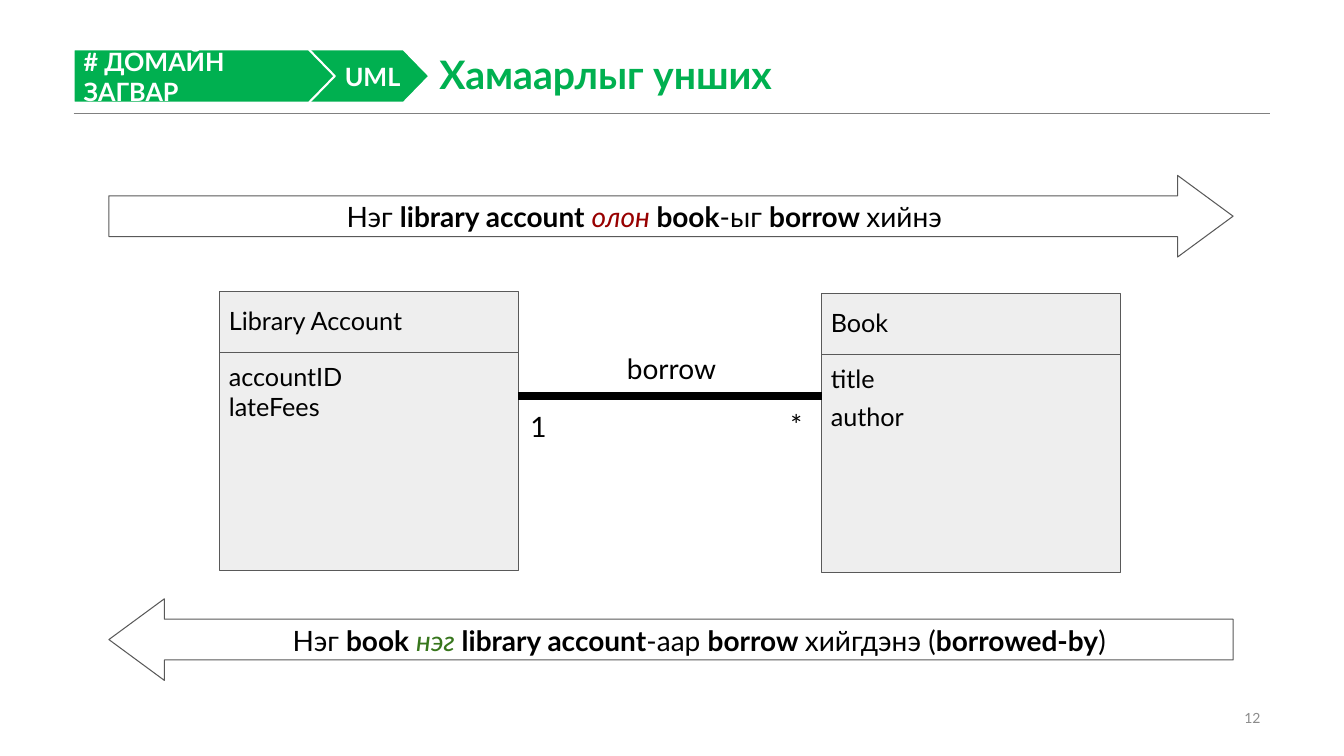
from pptx import Presentation
from pptx.dml.color import RGBColor
from pptx.enum.shapes import MSO_CONNECTOR as Connector, MSO_SHAPE as Shape
from pptx.enum.text import MSO_ANCHOR as Anchor, PP_ALIGN as Align
from pptx.oxml.ns import qn
from pptx.util import Inches, Pt

GREEN = "00B050"
GREY = "595959"
BLACK = "000000"
WHITE = "FFFFFF"
TIGHT = (0, 0.01, 0, 0)
NORMAL = (0.1, 0.05, 0.1, 0.05)


def color(value):
    return RGBColor.from_string(value)


def set_font(font, size, fill, bold=False):
    font.name = "Lato"
    font.size = Pt(size)
    font.bold = bold
    font.color.rgb = color(fill)


def set_frame(shape, insets, anchor=Anchor.TOP):
    frame = shape.text_frame
    frame.word_wrap = True
    frame.vertical_anchor = anchor
    frame.margin_left, frame.margin_top, frame.margin_right, frame.margin_bottom = map(Inches, insets)
    return frame


def add_text(slide, box, text, size=20, fill=BLACK, bold=False,
             align=Align.LEFT, insets=TIGHT, anchor=Anchor.TOP):
    shape = slide.shapes.add_textbox(*map(Inches, box))
    paragraph = set_frame(shape, insets, anchor).paragraphs[0]
    paragraph.text = text
    paragraph.alignment = align
    set_font(paragraph.font, size, fill, bold)
    return paragraph


def add_sentence(slide, box, parts):
    paragraph = add_text(slide, box, "", align=Align.CENTER)
    for text, style in parts:
        run = paragraph.add_run()
        run.text = text
        set_font(run.font, 20, BLACK, style == "bold")
        if style not in ("plain", "bold"):
            run.font.italic = True
            run.font.color.rgb = color(style)


def add_line(slide, start, end, stroke, width):
    line = slide.shapes.add_connector(Connector.STRAIGHT, *map(Inches, start + end))
    line.line.color.rgb = color(stroke)
    line.line.width = Pt(width)
    properties = line.element.spPr
    properties.append(properties.makeelement(qn("a:effectLst"), {}))


def add_block(slide, kind, box, fill, stroke, width=0.75):
    shape = slide.shapes.add_shape(kind, *map(Inches, box))
    shape.shadow.inherit = False
    if fill:
        shape.fill.solid()
        shape.fill.fore_color.rgb = color(fill)
    else:
        shape.fill.background()
    shape.line.color.rgb = color(stroke)
    shape.line.width = Pt(width)
    return shape


def add_crumb(slide, left, width, text, insets):
    shape = add_block(slide, Shape.PENTAGON, (left, 0.49, width, 0.53), GREEN, WHITE, 1.5)
    shape.adjustments[0] = 0.486
    paragraph = set_frame(shape, insets, Anchor.MIDDLE).paragraphs[0]
    paragraph.text = text
    paragraph.alignment = Align.LEFT
    set_font(paragraph.font, 18, WHITE, True)


def add_arrow(slide, kind, top):
    shape = add_block(slide, kind, (1.08, top, 11.15, 0.81), None, GREY)
    shape.adjustments[0] = 0.5
    shape.adjustments[1] = 0.68


def add_class(slide, left, top, name, attributes):
    header = add_block(slide, Shape.RECTANGLE, (left, top, 2.96, 0.96), "EEEEEE", GREY)
    body = add_block(slide, Shape.RECTANGLE, (left, top + 0.61, 2.96, 2.16), "EEEEEE", GREY)
    title = set_frame(header, (0.09, 0.14, 0, 0)).paragraphs[0]
    title.text = name
    title.alignment = Align.LEFT
    set_font(title.font, 18, BLACK)
    frame = set_frame(body, (0.09, 0.08, 0, 0))
    for index, lines in enumerate(attributes):
        paragraph = frame.add_paragraph() if index else frame.paragraphs[0]
        for number, line in enumerate(lines):
            if number:
                paragraph.add_line_break()
            paragraph.add_run().text = line
        paragraph.alignment = Align.LEFT
        paragraph.line_spacing = 1.01
        paragraph.space_before = Pt(5.8 if index else 0)
        set_font(paragraph.font, 18, BLACK)


def main():
    presentation = Presentation()
    presentation.slide_width = Inches(13.33)
    presentation.slide_height = Inches(7.5)
    slide = presentation.slides.add_slide(presentation.slide_layouts[6])

    add_line(slide, (0.73, 1.12), (12.6, 1.12), "808080", 0.25)
    add_text(slide, (9.42, 7.01, 3.18, 0.23), "12", 10, "8C8C8C",
             align=Align.RIGHT, insets=NORMAL, anchor=Anchor.MIDDLE)
    title = add_text(slide, (4.26, 0.49, 8.34, 0.53), "Хамаарлыг унших", 28, GREEN, True,
                     insets=NORMAL, anchor=Anchor.BOTTOM)
    title.line_spacing = 0.9
    add_crumb(slide, 2.81, 1.45, "UML", (0.61, 0.05, 0, 0.05))
    add_crumb(slide, 0.73, 2.59, "# ДОМАЙН ЗАГВАР", NORMAL)

    add_arrow(slide, Shape.RIGHT_ARROW, 1.74)
    add_sentence(slide, (1.08, 1.97, 10.62, 0.35), [
        ("Нэг ", "plain"), ("library account ", "bold"), ("олон ", "980000"),
        ("book", "bold"), ("-ыг ", "plain"), ("borrow ", "bold"), ("хийнэ", "plain")])
    add_arrow(slide, Shape.LEFT_ARROW, 5.94)
    add_sentence(slide, (1.64, 6.18, 10.59, 0.35), [
        ("Нэг ", "plain"), ("book ", "bold"), ("нэг ", "37761C"),
        ("library account", "bold"), ("-аар ", "plain"), ("borrow ", "bold"),
        ("хийгдэнэ (", "plain"), ("borrowed-by", "bold"), (")", "plain")])

    add_class(slide, 2.18, 2.89, "Library Account", [["accountID", "lateFees"]])
    add_class(slide, 8.15, 2.91, "Book", [["title"], ["author"]])
    add_line(slide, (5.14, 3.93), (8.15, 3.93), BLACK, 6)
    add_text(slide, (5.26, 4.05, 0.17, 0.35), "1")
    add_text(slide, (7.84, 4.03, 0.17, 0.35), "*")
    add_text(slide, (5.39, 3.48, 2.54, 0.35), "borrow", align=Align.CENTER)

    presentation.save("out.pptx")


if __name__ == "__main__":
    main()
